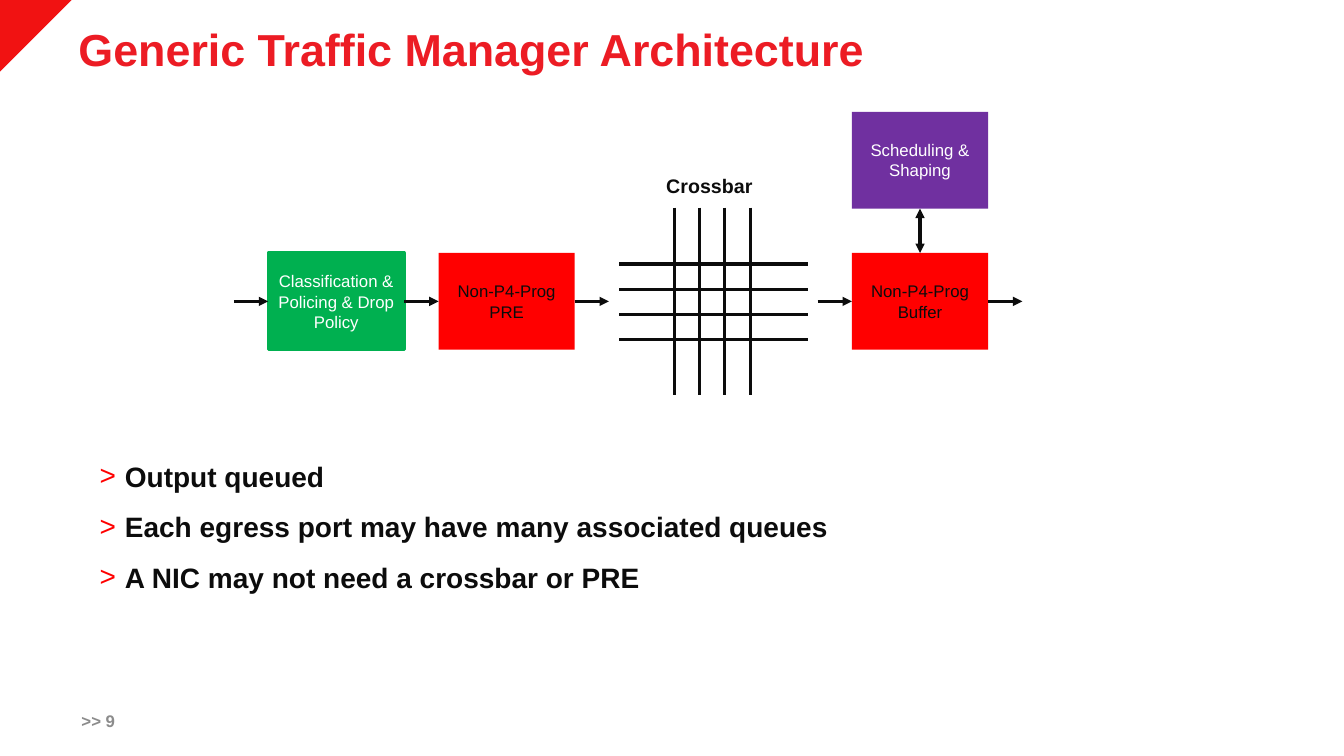
from dataclasses import dataclass

from lxml import etree
from pptx import Presentation
from pptx.dml.color import RGBColor
from pptx.enum.shapes import MSO_CONNECTOR, MSO_SHAPE
from pptx.enum.text import MSO_ANCHOR, PP_ALIGN
from pptx.oxml.ns import qn
from pptx.util import Pt

RECTANGLE = MSO_SHAPE.RECTANGLE
STRAIGHT = MSO_CONNECTOR.STRAIGHT
TOP, MIDDLE = MSO_ANCHOR.TOP, MSO_ANCHOR.MIDDLE
LEFT, CENTER = PP_ALIGN.LEFT, PP_ALIGN.CENTER
TOP_SIDE, LEFT_SIDE, BOTTOM_SIDE, RIGHT_SIDE = range(4)


@dataclass(frozen=True)
class Theme:
    font: str = "Arial"
    ink: str = "0C0C0C"
    white: str = "FFFFFF"
    title: str = "EC1C24"
    corner: str = "F11212"
    bullet: str = "FF0000"
    footer: str = "8C8C8C"
    green: str = "00B050"
    red: str = "FF0000"
    purple: str = "7030A0"
    title_size: int = 32
    body_size: int = 20
    label_size: int = 14
    small_size: int = 12
    bullet_gap: int = 12
    stroke: float = 2.25


THEME = Theme()
EMU_PER_PX = 9144
SLIDE_SIZE = (1333, 750)
CORNER = 71

TITLE = ("Generic Traffic Manager Architecture", (68, 23, 1153, 55))
PAGE = (">> 9", (71, 695, 99, 40))
CROSSBAR_LABEL = ("Crossbar", (651, 168, 106, 34))
POINTS = [
    "Output queued",
    "Each egress port may have many associated queues",
    "A NIC may not need a crossbar or PRE",
]
POINTS_BOX = (89, 451, 1138, 195)
BULLET_INDENT = 25

STAGE_SIZE = (135, 96)
ROW_TOP = 251
STAGES = {
    "classify": ("Classification & Policing & Drop Policy", 266, ROW_TOP,
                 THEME.green, THEME.white, THEME.green),
    "replicate": ("Non-P4-Prog PRE", 435, ROW_TOP, THEME.red, THEME.ink, None),
    "buffer": ("Non-P4-Prog Buffer", 845, ROW_TOP, THEME.red, THEME.ink, None),
    "schedule": ("Scheduling & Shaping", 845, 111, THEME.purple, THEME.white, None),
}
FLOWS = [
    (None, "classify"),
    ("classify", "replicate"),
    ("replicate", None),
    (None, "buffer"),
    ("buffer", None),
]
FLOW_LENGTH = 34

LANES = 4
LANE_STEP = 25
COLUMNS_LEFT, COLUMNS_SPAN = 669, (206, 392)
ROWS_TOP, ROWS_SPAN = 262, (614, 801)


def px(*lengths):
    return [length * EMU_PER_PX for length in lengths]


def rgb(colour):
    return RGBColor.from_string(colour)


def style(paragraph, size, colour, bold=False, align=LEFT):
    paragraph.alignment = align
    font = paragraph.font
    font.name, font.size, font.bold = THEME.font, Pt(size), bold
    font.color.rgb = rgb(colour)


def add_text(slide, content, size, colour, anchor=TOP, wrap=True):
    text, bounds = content
    frame = slide.shapes.add_textbox(*px(*bounds)).text_frame
    frame.word_wrap, frame.vertical_anchor = wrap, anchor
    frame.text = text
    style(frame.paragraphs[0], size, colour, bold=True)
    return frame.paragraphs[0]


def add_points(slide):
    frame = slide.shapes.add_textbox(*px(*POINTS_BOX)).text_frame
    frame.word_wrap = True
    frame.text = "\n".join(POINTS)
    indent = px(BULLET_INDENT)[0]
    for index, point in enumerate(frame.paragraphs):
        properties = point._p.get_or_add_pPr()
        properties.set("marL", str(indent))
        properties.set("indent", str(-indent))
        bullet_colour = etree.SubElement(properties, qn("a:buClr"))
        etree.SubElement(bullet_colour, qn("a:srgbClr"), val=THEME.bullet)
        etree.SubElement(properties, qn("a:buFont"), typeface=THEME.font)
        etree.SubElement(properties, qn("a:buChar"), char="˃")
        if index:
            point.space_before = Pt(THEME.bullet_gap)
        style(point, THEME.body_size, THEME.ink, bold=True)


def add_corner(slide):
    builder = slide.shapes.build_freeform(CORNER, 0, scale=EMU_PER_PX)
    builder.add_line_segments([(0, 0), (0, CORNER)], close=True)
    corner = builder.convert_to_shape()
    corner.shadow.inherit = False
    corner.fill.solid()
    corner.fill.fore_color.rgb = rgb(THEME.corner)
    corner.line.fill.background()


def add_stage(slide, text, left, top, fill, colour, outline):
    stage = slide.shapes.add_shape(RECTANGLE, *px(left, top, *STAGE_SIZE))
    stage.shadow.inherit = False
    stage.fill.solid()
    stage.fill.fore_color.rgb = rgb(fill)
    if outline:
        stage.line.color.rgb = rgb(outline)
        stage.line.width = Pt(THEME.stroke)
    else:
        stage.line.fill.background()
    frame = stage.text_frame
    frame.word_wrap, frame.vertical_anchor = True, MIDDLE
    frame.text = text
    style(frame.paragraphs[0], THEME.small_size, colour, align=CENTER)
    return stage


def add_line(slide, start, end, arrow_ends=()):
    line = slide.shapes.add_connector(STRAIGHT, *px(*start, *end))
    line.line.color.rgb = rgb(THEME.ink)
    line.line.width = Pt(THEME.stroke)
    for arrow_end in arrow_ends:
        etree.SubElement(line.line._get_or_add_ln(), qn("a:" + arrow_end), type="triangle")
    etree.SubElement(line._element.spPr, qn("a:effectLst"))
    return line


def add_flow(slide, stages, source, target):
    width, height = STAGE_SIZE
    middle = ROW_TOP + height // 2
    if source:
        start = STAGES[source][1] + width
    else:
        start = STAGES[target][1] - FLOW_LENGTH
    flow = add_line(slide, (start, middle), (start + FLOW_LENGTH, middle), ["tailEnd"])
    if source:
        flow.begin_connect(stages[source], RIGHT_SIDE)
    if target:
        flow.end_connect(stages[target], LEFT_SIDE)


def add_crossbar(slide):
    for lane in range(LANES):
        x = COLUMNS_LEFT + lane * LANE_STEP
        y = ROWS_TOP + lane * LANE_STEP
        add_line(slide, (x, COLUMNS_SPAN[0]), (x, COLUMNS_SPAN[1]))
        add_line(slide, (ROWS_SPAN[0], y), (ROWS_SPAN[1], y))
    add_text(slide, CROSSBAR_LABEL, THEME.label_size, THEME.ink, wrap=False)


def main():
    deck = Presentation()
    deck.slide_width, deck.slide_height = px(*SLIDE_SIZE)
    slide = deck.slides.add_slide(deck.slide_layouts[6])

    add_corner(slide)
    heading = add_text(slide, TITLE, THEME.title_size, THEME.title)
    heading.line_spacing = 0.9
    add_points(slide)
    add_text(slide, PAGE, THEME.small_size, THEME.footer, anchor=MIDDLE)

    stages = {key: add_stage(slide, *stage) for key, stage in STAGES.items()}
    for source, target in FLOWS:
        add_flow(slide, stages, source, target)
    exchange = add_line(slide, (0, 0), (0, 0), ["headEnd", "tailEnd"])
    exchange.begin_connect(stages["buffer"], TOP_SIDE)
    exchange.end_connect(stages["schedule"], BOTTOM_SIDE)
    add_crossbar(slide)

    deck.save("out.pptx")


if __name__ == "__main__":
    main()
